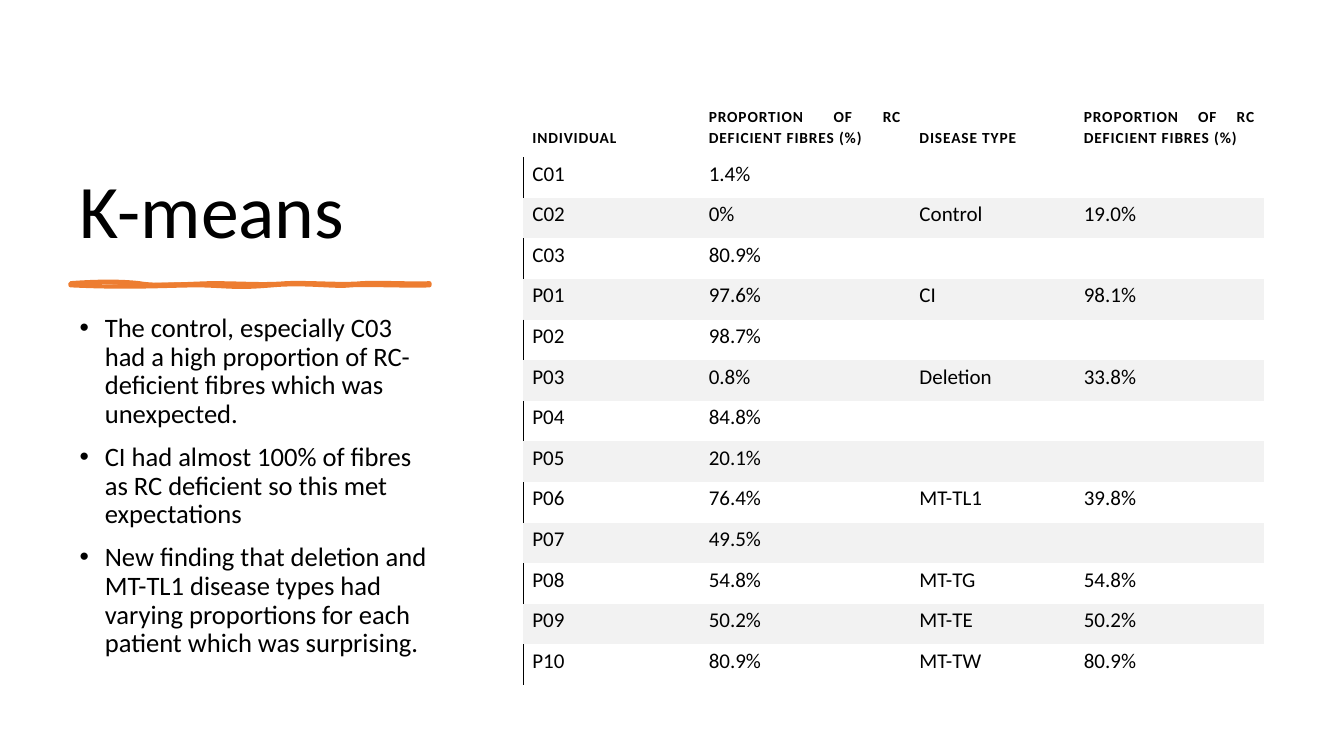
from lxml.etree import SubElement
from pptx import Presentation
from pptx.dml.color import RGBColor
from pptx.enum.text import MSO_ANCHOR as Anchor, MSO_AUTO_SIZE as AutoSize, PP_ALIGN as Align
from pptx.oxml import parse_xml
from pptx.oxml.ns import nsdecls, qn
from pptx.util import Emu, Pt

BLACK = RGBColor(0x00, 0x00, 0x00)
WHITE = RGBColor(0xFF, 0xFF, 0xFF)
ORANGE = RGBColor(0xED, 0x7D, 0x31)
GREY = RGBColor(0xF2, 0xF2, 0xF2)
FONT = "Calibri"
NO_GRID_STYLE = "{2D5ABB26-0587-4C30-8999-92F81FD0307C}"


def px(value):
    """One px is a hundredth of an inch."""
    return Emu(round(value * 9144))


def format_paragraph(paragraph, size, align, line_spacing, bold=False):
    paragraph.alignment = align
    paragraph.line_spacing = line_spacing
    font = paragraph.font
    font.name, font.size, font.bold = FONT, Pt(size), bold
    font.color.rgb = BLACK


presentation = Presentation()
presentation.slide_width, presentation.slide_height = px(1333), px(750)
slide = presentation.slides.add_slide(presentation.slide_layouts[1])
slide.background.fill.solid()
slide.background.fill.fore_color.rgb = WHITE
title, body = slide.placeholders

# Title
title.left, title.top, title.width, title.height = px(69), px(70), px(375), px(188)
title.text_frame.text = "K-means"
title.text_frame.vertical_anchor = Anchor.BOTTOM
title.text_frame.auto_size = AutoSize.NONE
format_paragraph(title.text_frame.paragraphs[0], 54, Align.LEFT, 0.9)

# Hand-drawn underline: a stroked and a filled outline, both of cubic curves
START_X, START_Y = 70, 281
STROKED_CURVES = [
    (97, 279, 121, 279, 138, 281), (155, 284, 177, 282, 209, 281),
    (241, 281, 260, 283, 284, 281), (308, 280, 339, 283, 359, 281),
    (379, 280, 412, 282, 426, 281), (426, 282, 426, 283, 426, 283),
    (408, 284, 364, 282, 348, 283), (332, 285, 304, 280, 270, 283),
    (235, 286, 231, 284, 199, 283), (166, 283, 132, 286, 70, 283),
    (70, 283, 70, 282, 70, 281),
]
FILLED_CURVES = [
    (102, 284, 110, 282, 138, 281), (166, 281, 169, 279, 199, 281),
    (228, 284, 261, 283, 277, 281), (293, 280, 327, 284, 344, 281),
    (362, 279, 397, 285, 426, 281), (426, 282, 426, 283, 426, 283),
    (412, 283, 372, 286, 355, 283), (338, 281, 309, 284, 277, 283),
    (244, 283, 240, 283, 216, 283), (193, 285, 179, 283, 145, 283),
    (111, 284, 92, 283, 70, 283), (70, 283, 70, 282, 70, 281),
]
builder = slide.shapes.build_freeform(px(START_X), px(START_Y))
builder.add_line_segments([(px(x), px(y)) for *_, x, y in STROKED_CURVES])
underline = builder.convert_to_shape()
underline.shadow.inherit = False
underline.fill.solid()
underline.fill.fore_color.rgb = ORANGE
underline.line.color.rgb = ORANGE
underline.line.width = Pt(3)

# Bend the straight segments into curves
path_list = underline._element.spPr.find(".//" + qn("a:pathLst"))
path_list.clear()
for curves, off_switch in ((STROKED_CURVES, ("fill", "none")), (FILLED_CURVES, ("stroke", "0"))):
    outline = SubElement(path_list, qn("a:path"), w=str(underline.width), h=str(underline.height))
    outline.set(*off_switch)
    for tag, numbers in [("a:moveTo", (START_X, START_Y))] + [("a:cubicBezTo", c) for c in curves]:
        segment = SubElement(outline, qn(tag))
        for x, y in zip(numbers[::2], numbers[1::2]):
            SubElement(segment, qn("a:pt"), x=str(px(x - START_X)), y=str(px(y - START_Y)))
    SubElement(outline, qn("a:close"))

# Findings
FINDINGS = [
    "The control, especially C03 had a high proportion of RC-deficient fibres which was unexpected.",
    "CI had almost 100% of fibres as RC deficient so this met expectations",
    "New finding that deletion and MT-TL1 disease types had varying proportions "
    "for each patient which was surprising.",
]
body.left, body.top, body.width, body.height = px(69), px(307), px(375), px(373)
body.text_frame.text = "\n".join(FINDINGS)
body.text_frame.auto_size = AutoSize.NONE
for paragraph in body.text_frame.paragraphs:
    format_paragraph(paragraph, 19, Align.LEFT, 0.9)
    paragraph.space_before = Pt(10)
    properties = paragraph._p.get_or_add_pPr()
    properties.set("marL", str(px(25)))
    properties.set("indent", str(px(-25)))

# Table of proportions
PROPORTION = "PROPORTION OF RC DEFICIENT FIBRES (%)"
ROWS = [
    ("INDIVIDUAL", PROPORTION, "DISEASE TYPE", PROPORTION),
    ("C01", "1.4%", "", ""),
    ("C02", "0%", "Control", "19.0%"),
    ("C03", "80.9%", "", ""),
    ("P01", "97.6%", "CI", "98.1%"),
    ("P02", "98.7%", "", ""),
    ("P03", "0.8%", "Deletion", "33.8%"),
    ("P04", "84.8%", "", ""),
    ("P05", "20.1%", "", ""),
    ("P06", "76.4%", "MT-TL1", "39.8%"),
    ("P07", "49.5%", "", ""),
    ("P08", "54.8%", "MT-TG", "54.8%"),
    ("P09", "50.2%", "MT-TE", "50.2%"),
    ("P10", "80.9%", "MT-TW", "80.9%"),
]
COLUMN_WIDTHS = [175, 209, 163, 188]
TABLE_HEIGHT, HEADER_HEIGHT = 610, 86
table = slide.shapes.add_table(len(ROWS), len(COLUMN_WIDTHS), px(519), px(70),
                               px(sum(COLUMN_WIDTHS)), px(TABLE_HEIGHT)).table
table.first_row = table.horz_banding = False
table._tbl.tblPr.find(qn("a:tableStyleId")).text = NO_GRID_STYLE
for column, width in zip(table.columns, COLUMN_WIDTHS):
    column.width = px(width)

for row_index, values in enumerate(ROWS):
    header = row_index == 0
    shaded = not header and row_index % 2 == 0
    table.rows[row_index].height = px(
        HEADER_HEIGHT if header else (TABLE_HEIGHT - HEADER_HEIGHT) / (len(ROWS) - 1))
    for column_index, value in enumerate(values):
        cell = table.cell(row_index, column_index)
        cell.margin_left = cell.margin_right = cell.margin_bottom = px(9)
        cell.margin_top = px(9 if header else 0)
        cell.vertical_anchor = Anchor.BOTTOM if header else Anchor.TOP
        if shaded:
            cell.fill.solid()
            cell.fill.fore_color.rgb = GREY
        else:
            cell.fill.background()
        if not value:
            continue
        cell.text = value
        paragraph = cell.text_frame.paragraphs[0]
        format_paragraph(paragraph, 11 if header else 15, Align.JUSTIFY, 1.15, header)
        if header:
            paragraph.runs[0]._r.get_or_add_rPr().set("spc", "60")
        elif column_index == 0 and not shaded:
            # Left rule on the unshaded rows
            border = parse_xml(f'<a:lnL {nsdecls("a")} w="{Pt(1)}"/>')
            fill = SubElement(border, qn("a:solidFill"))
            SubElement(fill, qn("a:srgbClr"), val=str(BLACK))
            cell._tc.get_or_add_tcPr().insert(0, border)

presentation.save("out.pptx")
